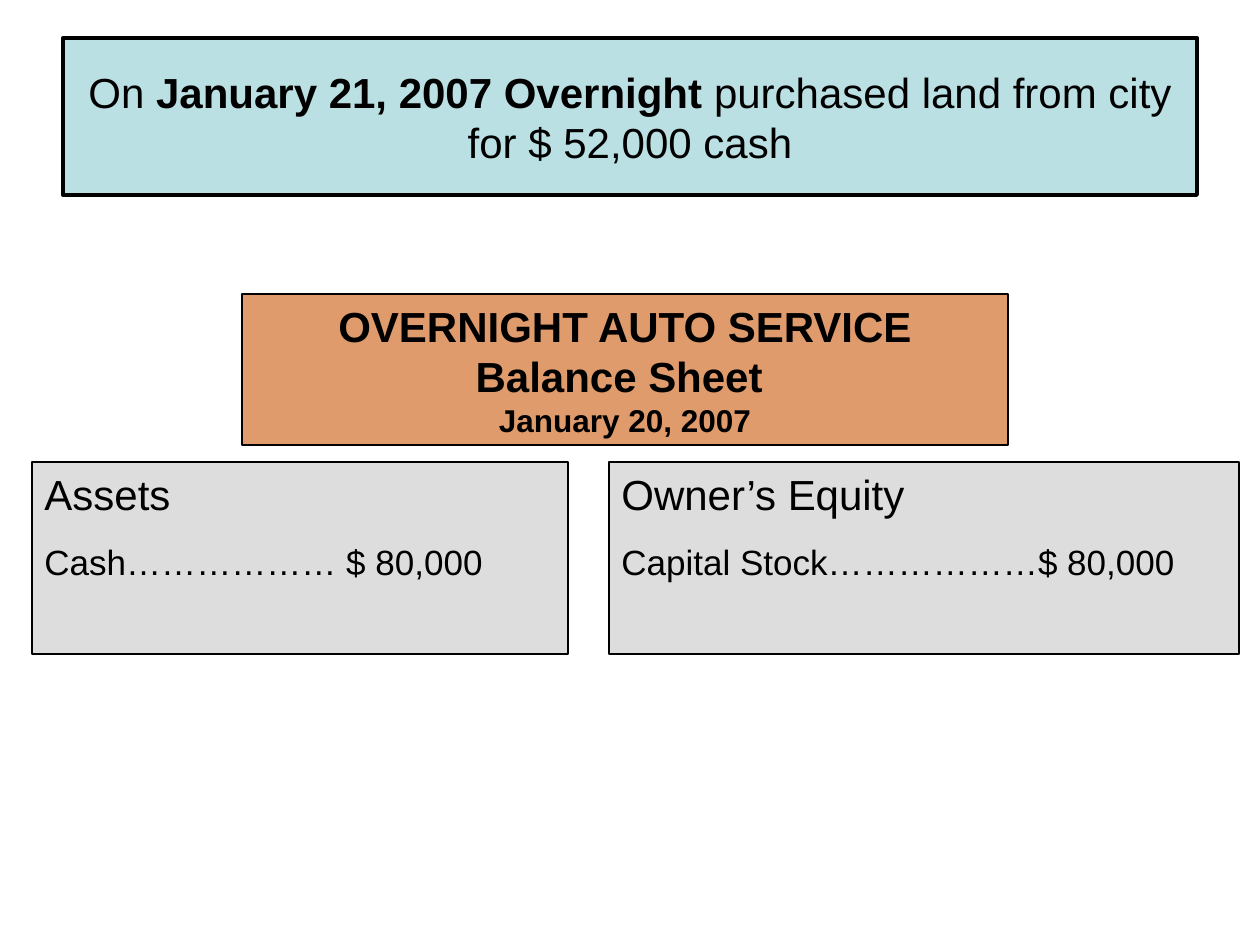
from dataclasses import dataclass

from pptx import Presentation
from pptx.dml.color import RGBColor
from pptx.enum.shapes import MSO_SHAPE
from pptx.enum.text import MSO_ANCHOR, MSO_AUTO_SIZE, PP_ALIGN
from pptx.util import Emu, Pt

RECT = MSO_SHAPE.RECTANGLE
TOP, MIDDLE = MSO_ANCHOR.TOP, MSO_ANCHOR.MIDDLE
LEFT, CENTER = PP_ALIGN.LEFT, PP_ALIGN.CENTER
FIXED = MSO_AUTO_SIZE.NONE

SCALE = 914400 / 126
FONT = "Arial"
COLORS = {"ink": "000000", "title": "BBE0E3", "head": "E09B6C", "side": "DDDDDD"}
SIDE_TOP, SIDE_HIGH = 462, 192


@dataclass
class Box:
    left: int
    top: int
    width: int
    height: int
    fill: str
    line: float


@dataclass
class Line:
    text: str
    size: int
    bold: bool = False
    before: float = 0


@dataclass
class Side:
    left: int
    width: int
    name: str
    entry: str


SIDES = [
    Side(32, 536, "Assets", "Cash……………… $ 80,000"),
    Side(609, 630, "Owner’s Equity", "Capital Stock………………$ 80,000"),
]


def px(count: int) -> Emu:
    return Emu(round(count * SCALE))


def color(name: str) -> RGBColor:
    return RGBColor.from_string(COLORS[name])


def style(shape, box: Box, anchor) -> None:
    """Place a shape and set its fill, outline and text frame."""
    shape.left, shape.top = px(box.left), px(box.top)
    shape.width, shape.height = px(box.width), px(box.height)
    shape.fill.solid()
    shape.fill.fore_color.rgb = color(box.fill)
    shape.line.color.rgb = color("ink")
    shape.line.width = Pt(box.line)
    frame = shape.text_frame
    frame.word_wrap = True
    frame.auto_size = FIXED
    frame.vertical_anchor = anchor


def set_font(font, size: int) -> None:
    font.name, font.size = FONT, Pt(size)
    font.color.rgb = color("ink")


def add_box(slide, box: Box, lines: list[Line], align) -> None:
    shape = slide.shapes.add_shape(RECT, 0, 0, 0, 0)
    shape.shadow.inherit = False
    style(shape, box, TOP)
    frame = shape.text_frame
    for i, line in enumerate(lines):
        para = frame.add_paragraph() if i else frame.paragraphs[0]
        para.text = line.text
        para.alignment = align
        para.space_before = Pt(line.before)
        set_font(para.font, line.size)
        para.font.bold = line.bold


def fill_title(slide) -> None:
    title = slide.shapes.title
    style(title, Box(63, 38, 1134, 157, "title", 2.25), MIDDLE)
    para = title.text_frame.paragraphs[0]
    para.alignment = CENTER
    set_font(para.font, 24)
    for text, bold in (
        ("On ", False),
        ("January 21, 2007 Overnight", True),
        (" purchased land from city for $ 52,000 cash", False),
    ):
        run = para.add_run()
        run.text = text
        run.font.bold = bold


def main() -> None:
    deck = Presentation()
    deck.slide_width, deck.slide_height = px(1260), px(945)
    slide = deck.slides.add_slide(deck.slide_layouts[5])
    fill_title(slide)
    head = [
        Line("OVERNIGHT AUTO SERVICE", 24, True),
        Line("Balance Sheet ", 24, True),
        Line("January 20, 2007", 18, True),
    ]
    add_box(slide, Box(242, 294, 766, 151, "head", 1.5), head, CENTER)
    for side in SIDES:
        box = Box(side.left, SIDE_TOP, side.width, SIDE_HIGH, "side", 0.75)
        lines = [Line(side.name, 24), Line(side.entry, 20, before=12.5)]
        add_box(slide, box, lines, LEFT)
    deck.save("out.pptx")


if __name__ == "__main__":
    main()
